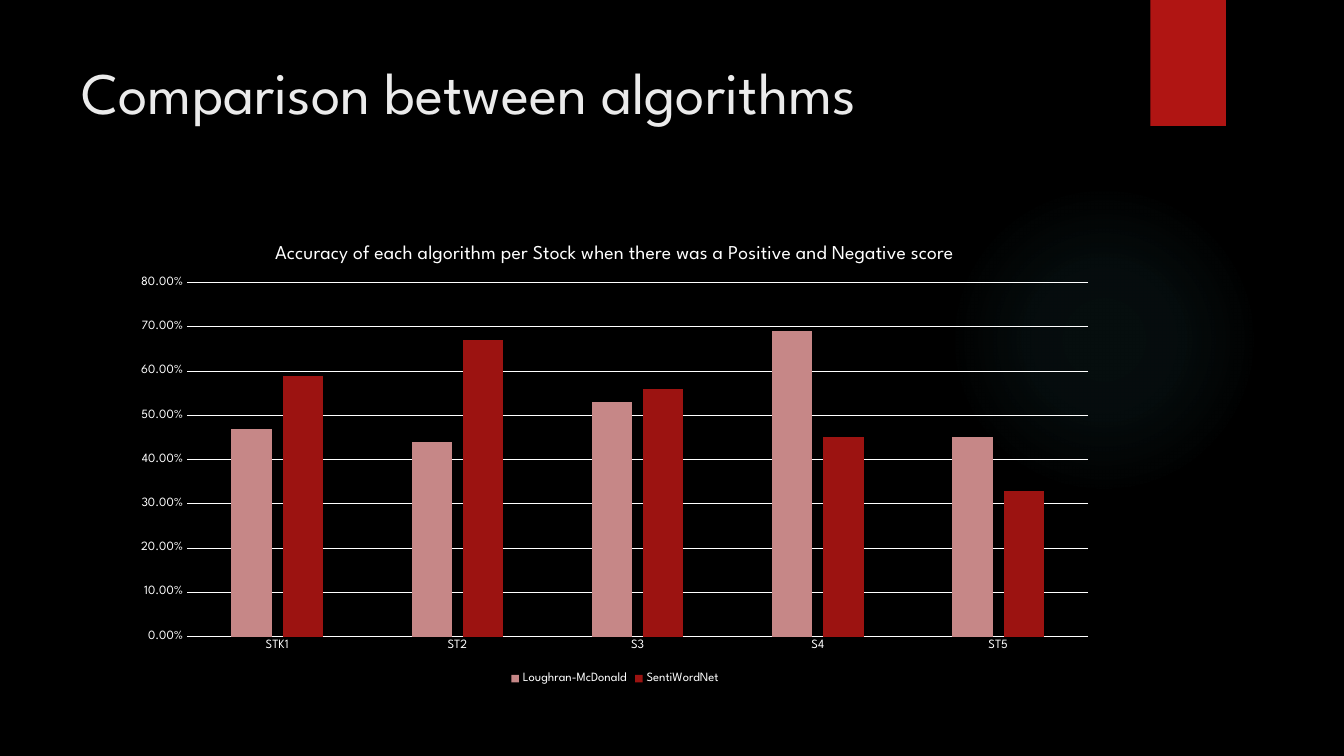
from lxml import etree
from pptx import Presentation
from pptx.chart.data import CategoryChartData
from pptx.dml.color import RGBColor
from pptx.enum.chart import XL_CHART_TYPE as ChartType
from pptx.enum.chart import XL_LEGEND_POSITION as LegendPosition
from pptx.enum.chart import XL_TICK_MARK as TickMark
from pptx.enum.shapes import MSO_SHAPE as Shape
from pptx.enum.text import MSO_ANCHOR as Anchor
from pptx.oxml import parse_xml
from pptx.oxml.ns import nsdecls, qn
from pptx.util import Inches, Pt

TITLE = "Comparison between algorithms"
CHART_TITLE = ("Accuracy of each algorithm per Stock when there was "
               "a Positive and Negative score")
STOCKS = ["STK1", "ST2", "S3", "S4", "ST5"]
ACCURACY = {
    "Loughran-McDonald": [0.47, 0.44, 0.53, 0.69, 0.45],
    "SentiWordNet": [0.59, 0.67, 0.56, 0.45, 0.33],
}

# left, top, width, height in inches
PLACES = {
    "glow": (9.41, 1.83, 3.08, 3.08),
    "ribbon": (11.41, 0, 0.75, 1.25),
    "title": (0.71, 0.5, 10.29, 1.53),
    "chart": (1.21, 2.24, 9.78, 4.59),
}
PLOT_LAYOUT = {"x": 0.066, "y": 0.123, "w": 0.914, "h": 0.765}  # shares of the chart

THEME = {
    "font": "League Spartan",
    "background": "000000",
    "title": "EBEBEB",
    "ribbon": "B01513",
    "chart_text": "FFFFFF",
    "bars": ["C68787", "9C1311"],
    "glow": "50B9C1",
    "glow_stops": [(0, 7), (36, 6), (69, 0)],  # position and opacity in percent
    "title_size": 42,
    "chart_title_size": 14,
    "label_size": 9,
    "line_width": 0.75,
}


def place(name):
    return [Inches(length) for length in PLACES[name]]


def style_font(font, size, color):
    font.name = THEME["font"]
    font.size = Pt(size)
    font.bold = False
    font.color.rgb = RGBColor.from_string(color)


def style_line(line):
    line.width = Pt(THEME["line_width"])
    line.color.rgb = RGBColor.from_string(THEME["chart_text"])


def paint(fill, color):
    fill.solid()
    fill.fore_color.rgb = RGBColor.from_string(color)


def add_plain_shape(page, kind, name):
    shape = page.shapes.add_shape(kind, *place(name))
    shape.shadow.inherit = False
    shape.line.fill.background()
    return shape


def add_glow(page):
    glow = add_plain_shape(page, Shape.OVAL, "glow")
    stops = "".join(
        f'<a:gs pos="{position * 1000}"><a:srgbClr val="{THEME["glow"]}">'
        f'<a:alpha val="{opacity * 1000}"/></a:srgbClr></a:gs>'
        for position, opacity in THEME["glow_stops"])
    gradient = parse_xml(
        f'<a:gradFill {nsdecls("a")} rotWithShape="1"><a:gsLst>{stops}</a:gsLst>'
        '<a:path path="circle"><a:fillToRect l="50000" t="50000" r="50000" b="50000"/>'
        '</a:path></a:gradFill>')
    glow.element.spPr.find(qn("a:prstGeom")).addnext(gradient)


def add_title(page):
    box = page.shapes.add_textbox(*place("title"))
    box.text_frame.word_wrap = True
    box.text_frame.vertical_anchor = Anchor.TOP
    span = box.text_frame.paragraphs[0].add_run()
    span.text = TITLE
    style_font(span.font, THEME["title_size"], THEME["title"])


def fix_plot_area(chart):
    """Pin the inner plot area to its share of the chart."""
    plot_area = chart.element.find(".//" + qn("c:plotArea"))
    for old in plot_area.findall(qn("c:layout")):
        plot_area.remove(old)
    layout = etree.Element(qn("c:layout"))
    manual = etree.SubElement(layout, qn("c:manualLayout"))
    settings = {"layoutTarget": "inner", "xMode": "edge", "yMode": "edge", **PLOT_LAYOUT}
    for tag, value in settings.items():
        etree.SubElement(manual, qn("c:" + tag)).set("val", str(value))
    plot_area.insert(0, layout)


def add_accuracy_chart(page):
    data = CategoryChartData(number_format="0.00%")
    data.categories = STOCKS
    for algorithm, values in ACCURACY.items():
        data.add_series(algorithm, values)
    chart = page.shapes.add_chart(ChartType.COLUMN_CLUSTERED, *place("chart"), data).chart
    style_font(chart.font, THEME["label_size"], THEME["chart_text"])

    chart.has_title = True
    span = chart.chart_title.text_frame.paragraphs[0].add_run()
    span.text = CHART_TITLE
    style_font(span.font, THEME["chart_title_size"], THEME["chart_text"])
    chart.chart_title.include_in_layout = False

    chart.has_legend = True
    chart.legend.position = LegendPosition.BOTTOM
    chart.legend.include_in_layout = False
    style_font(chart.legend.font, THEME["label_size"], THEME["chart_text"])

    for axis in (chart.category_axis, chart.value_axis):
        axis.major_tick_mark = axis.minor_tick_mark = TickMark.NONE
        style_font(axis.tick_labels.font, THEME["label_size"], THEME["chart_text"])
    style_line(chart.category_axis.format.line)
    scale = chart.value_axis
    scale.minimum_scale, scale.maximum_scale, scale.major_unit = 0, 0.8, 0.1
    scale.tick_labels.number_format = "0.00%"
    scale.tick_labels.number_format_is_linked = False
    scale.format.line.fill.background()
    style_line(scale.major_gridlines.format.line)

    plot = chart.plots[0]
    plot.vary_by_categories = False
    plot.gap_width = 219
    plot.overlap = -27
    for series, color in zip(plot.series, THEME["bars"]):
        paint(series.format.fill, color)
    fix_plot_area(chart)


def main():
    deck = Presentation()
    deck.slide_width, deck.slide_height = Inches(13.33), Inches(7.5)
    page = deck.slides.add_slide(deck.slide_layouts[6])
    paint(page.background.fill, THEME["background"])
    add_glow(page)
    ribbon = add_plain_shape(page, Shape.RECTANGLE, "ribbon")
    paint(ribbon.fill, THEME["ribbon"])
    add_title(page)
    add_accuracy_chart(page)
    deck.save("out.pptx")


if __name__ == "__main__":
    main()
